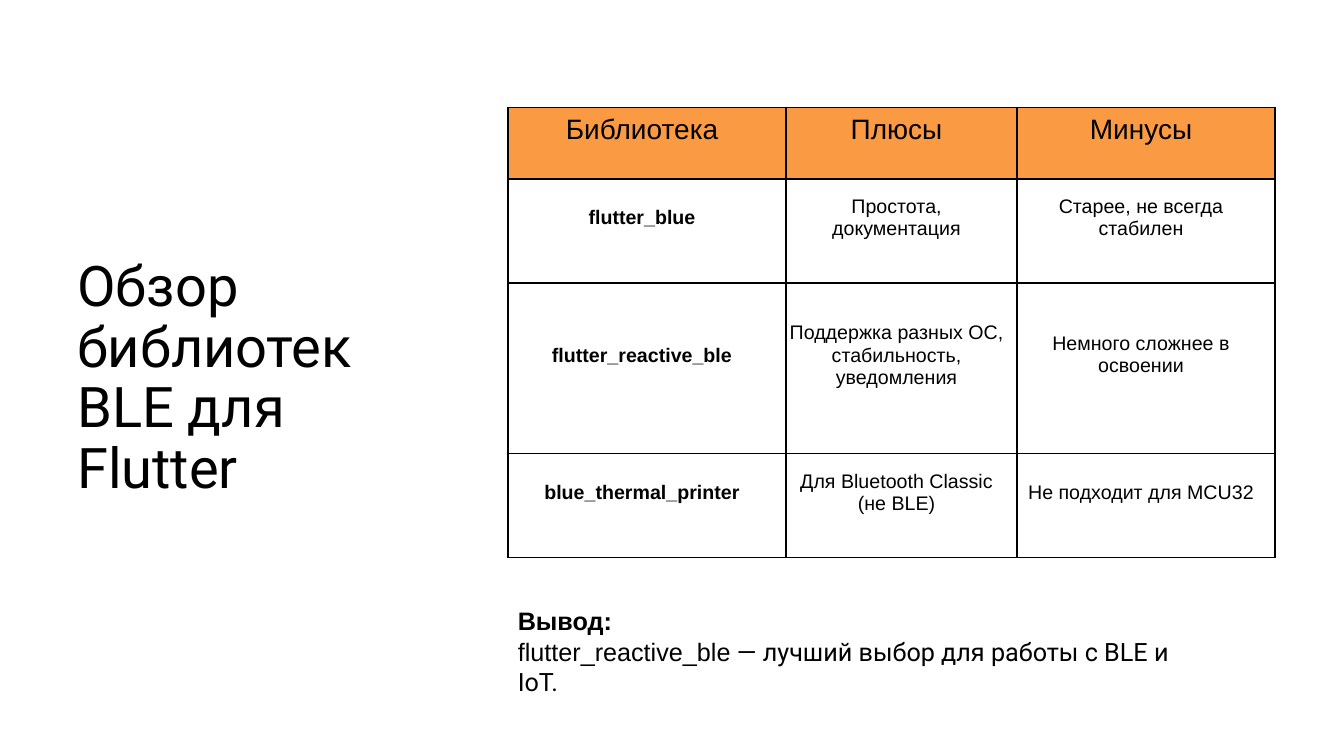
from typing import NamedTuple

import pptx
import pptx.dml.color
import pptx.enum.text
import pptx.oxml
import pptx.oxml.ns
import pptx.util
from pptx.util import Cm

COLORS = {"text": "000000", "border": "000000", "header": "FA9A42", "background": "FFFFFF"}
ALIGN = pptx.enum.text.PP_ALIGN
ANCHOR = pptx.enum.text.MSO_ANCHOR


class Library(NamedTuple):
    name: str
    pros: str
    cons: str
    height: float


class TextPart(NamedTuple):
    text: str
    font: str
    bold: bool = False
    ends_line: bool = False


ROWS = [
    Library("Библиотека", "Плюсы", "Минусы", 1.8),
    Library("flutter_blue", "Простота, документация", "Старее, не всегда стабилен", 2.62),
    Library("flutter_reactive_ble", "Поддержка разных ОС, стабильность, уведомления",
            "Немного сложнее в освоении", 4.3),
    Library("blue_thermal_printer", "Для Bluetooth Classic (не BLE)", "Не подходит для MCU32", 2.62),
]
COLUMN_WIDTHS = [7.01, 5.82, 6.5]
CONCLUSION = [
    TextPart("Вывод:", "Arial", bold=True, ends_line=True),
    TextPart("flutter_reactive_ble", "Arial"),
    TextPart(" — лучший выбор для работы с BLE и IoT.", "Roboto"),
]


def color(name: str) -> pptx.dml.color.RGBColor:
    return pptx.dml.color.RGBColor.from_string(COLORS[name])


def format_run(run, size: float, font: str, bold: bool = False) -> None:
    run.font.size = pptx.util.Pt(size)
    run.font.name = font
    run.font.bold = bold
    run.font.color.rgb = color("text")


def add_text_box(slide, left: float, top: float, width: float, height: float):
    text_frame = slide.shapes.add_textbox(Cm(left), Cm(top), Cm(width), Cm(height)).text_frame
    text_frame.word_wrap = True
    return text_frame


def add_borders(cell) -> None:
    properties = cell._tc.get_or_add_tcPr()
    for side in ("lnL", "lnR", "lnT", "lnB"):
        properties.append(pptx.oxml.parse_xml(
            f'<a:{side} {pptx.oxml.ns.nsdecls("a")} w="12700"><a:solidFill>'
            f'<a:srgbClr val="{COLORS["border"]}"/></a:solidFill></a:{side}>'))


def fill_cell(cell, text: str, is_header: bool, bold: bool) -> None:
    add_borders(cell)
    cell.fill.solid()
    cell.fill.fore_color.rgb = color("header" if is_header else "background")
    cell.vertical_anchor = ANCHOR.MIDDLE
    cell.margin_left, cell.margin_top = Cm(0), Cm(0.1)
    cell.margin_right, cell.margin_bottom = Cm(0.25), Cm(0.76)
    paragraph = cell.text_frame.paragraphs[0]
    paragraph.text = text
    paragraph.alignment = ALIGN.CENTER
    format_run(paragraph.runs[0], 20 if is_header else 14, "Arial", bold)


def add_title(slide) -> None:
    text_frame = add_text_box(slide, 1.7, 1.52, 9.7, 16.08)
    text_frame.vertical_anchor = ANCHOR.MIDDLE
    text_frame.text = "Обзор библиотек BLE для Flutter"
    paragraph = text_frame.paragraphs[0]
    paragraph.line_spacing = 0.9
    format_run(paragraph.runs[0], 40, "Roboto")


def add_library_table(slide) -> None:
    table = slide.shapes.add_table(
        len(ROWS), len(COLUMN_WIDTHS), Cm(12.8), Cm(2.71),
        Cm(sum(COLUMN_WIDTHS)), Cm(sum(row.height for row in ROWS))).table
    for column, width in zip(table.columns, COLUMN_WIDTHS):
        column.width = Cm(width)
    for row_index, library in enumerate(ROWS):
        table.rows[row_index].height = Cm(library.height)
        is_header = row_index == 0
        for column_index, text in enumerate((library.name, library.pros, library.cons)):
            fill_cell(table.cell(row_index, column_index), text, is_header,
                      bold=column_index == 0 and not is_header)


def add_conclusion(slide) -> None:
    paragraph = add_text_box(slide, 12.8, 15.14, 16.94, 2.57).paragraphs[0]
    for part in CONCLUSION:
        run = paragraph.add_run()
        run.text = part.text
        format_run(run, 18, part.font, part.bold)
        if part.ends_line:
            paragraph.add_line_break()


def main() -> None:
    presentation = pptx.Presentation()
    presentation.slide_width, presentation.slide_height = Cm(33.87), Cm(19.05)
    slide = presentation.slides.add_slide(presentation.slide_layouts[6])
    slide.background.fill.solid()
    slide.background.fill.fore_color.rgb = color("background")

    # Heading on the left
    add_title(slide)
    # Comparison and conclusion on the right
    add_library_table(slide)
    add_conclusion(slide)

    presentation.save("out.pptx")


if __name__ == "__main__":
    main()
